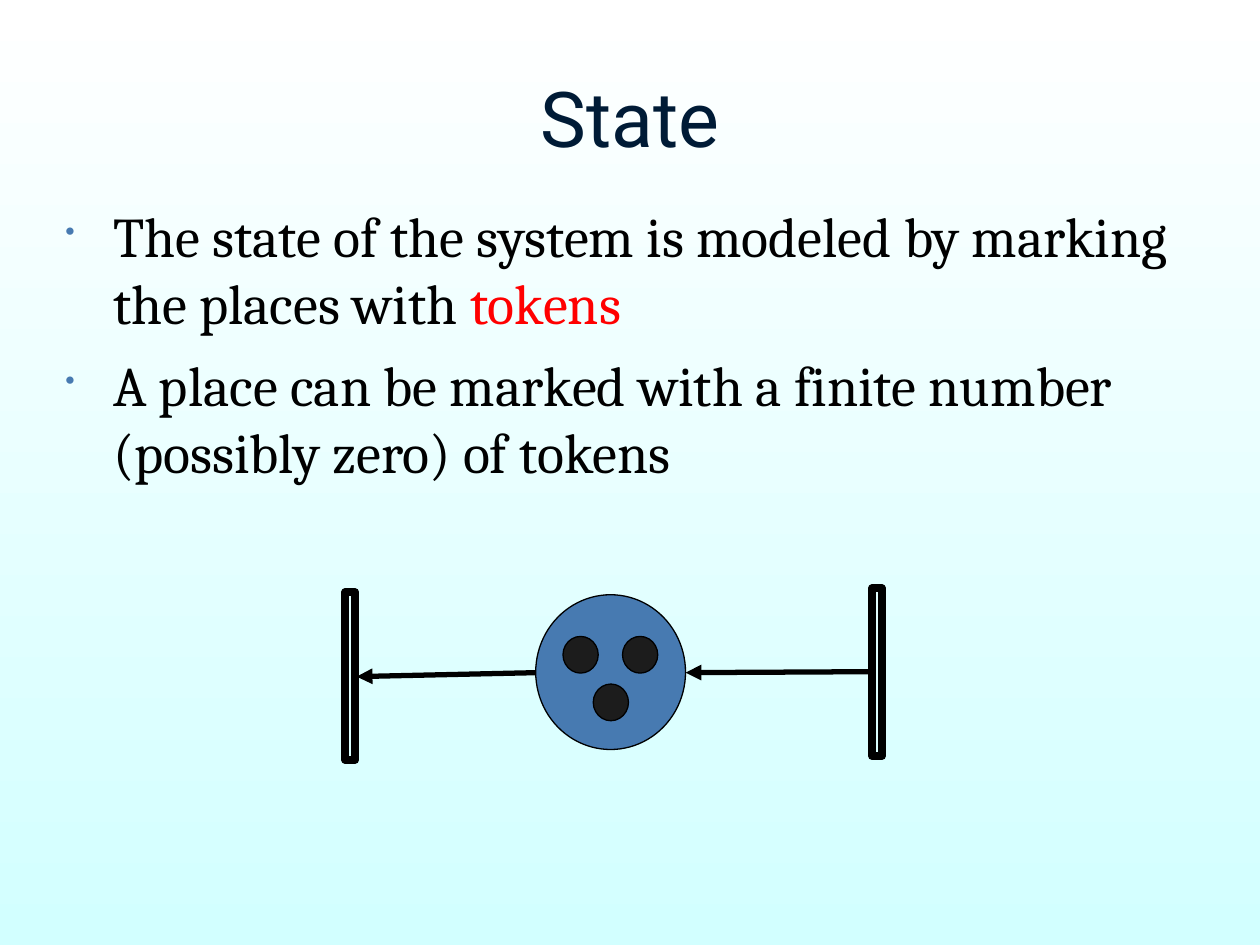
from lxml import etree
from pptx import Presentation
from pptx.dml.color import RGBColor
from pptx.enum.shapes import MSO_CONNECTOR, MSO_SHAPE
from pptx.enum.text import MSO_ANCHOR, PP_ALIGN
from pptx.oxml.ns import qn
from pptx.util import Cm, Pt

BLACK = RGBColor(0x00, 0x00, 0x00)
WHITE = RGBColor(0xFF, 0xFF, 0xFF)
PALE_CYAN = RGBColor(0xD2, 0xFF, 0xFF)
NAVY = RGBColor(0x00, 0x1B, 0x36)
RED = RGBColor(0xFF, 0x00, 0x00)
BLUE = RGBColor(0x47, 0x7A, 0xB1)
TOKEN_GREY = RGBColor(0x1C, 0x1C, 0x1C)
OVAL, RECTANGLE = MSO_SHAPE.OVAL, MSO_SHAPE.RECTANGLE
STRAIGHT = MSO_CONNECTOR.STRAIGHT
CENTER, MIDDLE = PP_ALIGN.CENTER, MSO_ANCHOR.MIDDLE

prs = Presentation()
prs.slide_width, prs.slide_height = Cm(25.4), Cm(19.05)
slide = prs.slides.add_slide(prs.slide_layouts[6])


def add_node(kind, left, top, width, height, fill, line_width):
    """Draw a black-outlined shape, hollow when fill is None; lengths in cm."""
    node = slide.shapes.add_shape(kind, Cm(left), Cm(top), Cm(width), Cm(height))
    node.shadow.inherit = False
    if fill is None:
        node.fill.background()
    else:
        node.fill.solid()
        node.fill.fore_color.rgb = fill
    node.line.color.rgb = BLACK
    node.line.width = Pt(line_width)


# Background
background = slide.background.fill
background.gradient()
background.gradient_angle = 270
for stop, color in zip(background.gradient_stops, (WHITE, PALE_CYAN)):
    stop.color.rgb = color

# Title
title = slide.shapes.add_textbox(Cm(1.27), Cm(0.76), Cm(22.86), Cm(3.18)).text_frame
title.word_wrap = True
title.vertical_anchor = MIDDLE
heading = title.paragraphs[0]
heading.text = "State"
heading.alignment = CENTER
heading.font.name = "Roboto"
heading.font.size = Pt(44)
heading.font.color.rgb = NAVY

# Bullets
bullets = [
    [("The state of the system is modeled by marking the places with ", BLACK),
     ("tokens", RED)],
    [("A place can be marked with a finite number (possibly zero) of tokens", BLACK)],
]
body = slide.shapes.add_textbox(Cm(1.07), Cm(3.94), Cm(23.27), Cm(7.16)).text_frame
body.word_wrap = True
for index, pieces in enumerate(bullets):
    paragraph = body.paragraphs[0] if index == 0 else body.add_paragraph()
    if index:
        paragraph.space_before = Pt(8)
    properties = paragraph._p.get_or_add_pPr()
    properties.set("marL", str(Cm(0.96)))
    properties.set("indent", str(-Cm(0.96)))
    bullet_color = etree.SubElement(properties, qn("a:buClr"))
    etree.SubElement(bullet_color, qn("a:srgbClr"), val=str(BLUE))
    etree.SubElement(properties, qn("a:buSzPct"), val="50000")
    etree.SubElement(properties, qn("a:buChar"), char="•")
    paragraph.font.name = "Cambria"
    paragraph.font.size = Pt(32)
    for text, color in pieces:
        run = paragraph.add_run()
        run.text = text
        run.font.color.rgb = color

# Place with its tokens
add_node(OVAL, 10.8, 11.99, 3.02, 3.12, BLUE, 0.75)
for left, top in [(11.35, 12.83), (12.55, 12.83), (11.96, 13.79)]:
    add_node(OVAL, left, top, 0.71, 0.74, TOKEN_GREY, 0.75)

# Transitions
for left, top in [(17.58, 11.86), (6.96, 11.94)]:
    add_node(RECTANGLE, left, top, 0.2, 3.38, None, 4.5)

# Arcs
for start_x, start_y, end_x, end_y in [(17.58, 13.54, 13.82, 13.56),
                                       (10.8, 13.56, 7.19, 13.64)]:
    arc = slide.shapes.add_connector(
        STRAIGHT, Cm(start_x), Cm(start_y), Cm(end_x), Cm(end_y))
    arc.line.color.rgb = BLACK
    arc.line.width = Pt(3)
    etree.SubElement(arc.line._get_or_add_ln(), qn("a:tailEnd"), type="triangle")
    etree.SubElement(arc._element.spPr, qn("a:effectLst"))

prs.save("out.pptx")
